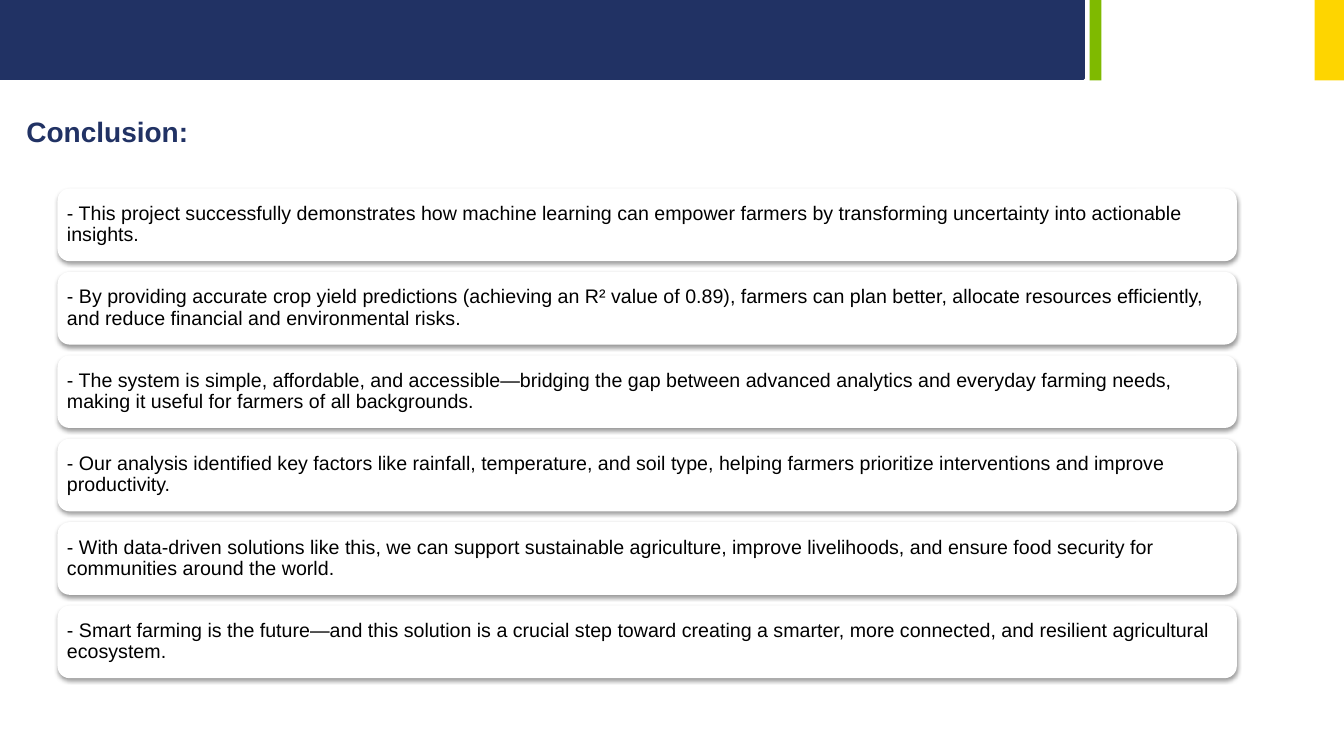
import lxml.etree
import pptx
import pptx.dml.color
import pptx.enum.shapes
import pptx.enum.text
import pptx.oxml.ns
import pptx.util
from pptx.util import Cm

NAVY, GREEN, YELLOW = "213264", "7FBA00", "FED500"
WHITE, BLACK = "FFFFFF", "000000"
FONT = "Arial"
RECTANGLE = pptx.enum.shapes.MSO_SHAPE.RECTANGLE
ROUNDED = pptx.enum.shapes.MSO_SHAPE.ROUNDED_RECTANGLE

CONCLUSIONS = [
    "- This project successfully demonstrates how machine learning can empower farmers "
    "by transforming uncertainty into actionable insights.",
    "- By providing accurate crop yield predictions (achieving an R² value of 0.89), farmers "
    "can plan better, allocate resources efficiently, and reduce financial and environmental risks.",
    "- The system is simple, affordable, and accessible—bridging the gap between advanced "
    "analytics and everyday farming needs, making it useful for farmers of all backgrounds.",
    "- Our analysis identified key factors like rainfall, temperature, and soil type, helping "
    "farmers prioritize interventions and improve productivity.",
    "- With data-driven solutions like this, we can support sustainable agriculture, improve "
    "livelihoods, and ensure food security for communities around the world.",
    "- Smart farming is the future—and this solution is a crucial step toward creating a "
    "smarter, more connected, and resilient agricultural ecosystem.",
]


def color(value):
    return pptx.dml.color.RGBColor.from_string(value)


def format_text(paragraph, size, font_color, bold=False):
    paragraph.alignment = pptx.enum.text.PP_ALIGN.LEFT
    for run in paragraph.runs:
        run.font.name = FONT
        run.font.size = pptx.util.Pt(size)
        run.font.bold = bold
        run.font.color.rgb = color(font_color)


def add_block(slide, kind, left, top, width, height, fill):
    shape = slide.shapes.add_shape(kind, left, top, width, height)
    shape.shadow.inherit = False
    shape.fill.solid()
    shape.fill.fore_color.rgb = color(fill)
    shape.line.fill.background()
    return shape


def add_soft_shadow(shape):
    qn = pptx.oxml.ns.qn
    effects = shape.element.spPr.find(qn("a:effectLst"))
    shadow = lxml.etree.SubElement(effects, qn("a:outerShdw"), blurRad="40000",
                                   dist="20000", dir="5400000", rotWithShape="0")
    shade = lxml.etree.SubElement(shadow, qn("a:srgbClr"), val=BLACK)
    lxml.etree.SubElement(shade, qn("a:alpha"), val="38000")


def add_header(slide, left, top, width, height):
    # Navy band with an outline of its own colour
    band = add_block(slide, RECTANGLE, left, top, Cm(27.31), height - Cm(0.05), NAVY)
    band.line.color.rgb = color(NAVY)
    band.line.width = pptx.util.Pt(2)
    # Green and yellow accents
    add_block(slide, RECTANGLE, left + Cm(27.46), top, Cm(0.3), height, GREEN)
    accent_width = Cm(0.74)
    add_block(slide, RECTANGLE, left + width - accent_width, top, accent_width, height, YELLOW)


def set_title(slide, left, top, width, height):
    title = slide.shapes.title
    title.left, title.top, title.width, title.height = left, top, width, height
    frame = title.text_frame
    frame.text = "Conclusion:"
    frame.word_wrap = True
    frame.vertical_anchor = pptx.enum.text.MSO_ANCHOR.MIDDLE
    format_text(frame.paragraphs[0], 20, NAVY, bold=True)


def add_card(slide, text, left, top, width, height):
    card = add_block(slide, ROUNDED, left, top, width, height, WHITE)
    add_soft_shadow(card)
    frame = card.text_frame
    frame.text = text
    frame.word_wrap = True
    frame.vertical_anchor = pptx.enum.text.MSO_ANCHOR.MIDDLE
    frame.margin_left = frame.margin_right = Cm(0.15)
    frame.margin_top = frame.margin_bottom = Cm(0.15)
    paragraph = frame.paragraphs[0]
    paragraph.line_spacing = 0.9
    format_text(paragraph, 14, BLACK)


def add_cards(slide, left, top, width, height):
    gap = Cm(0.27)
    card_height = (height + gap) // len(CONCLUSIONS) - gap
    for index, text in enumerate(CONCLUSIONS):
        add_card(slide, text, left, top + index * (card_height + gap), width, card_height)


def main():
    presentation = pptx.Presentation()
    presentation.slide_width = Cm(33.87)
    presentation.slide_height = Cm(19.05)
    title_only = presentation.slide_layouts[5]
    slide = presentation.slides.add_slide(title_only)
    add_header(slide, 0, 0, presentation.slide_width, Cm(2.03))
    set_title(slide, Cm(0.41), Cm(2.74), Cm(16.94), Cm(1.12))
    add_cards(slide, Cm(1.45), Cm(4.75), Cm(29.72), Cm(12.34))
    presentation.save("out.pptx")


if __name__ == "__main__":
    main()
